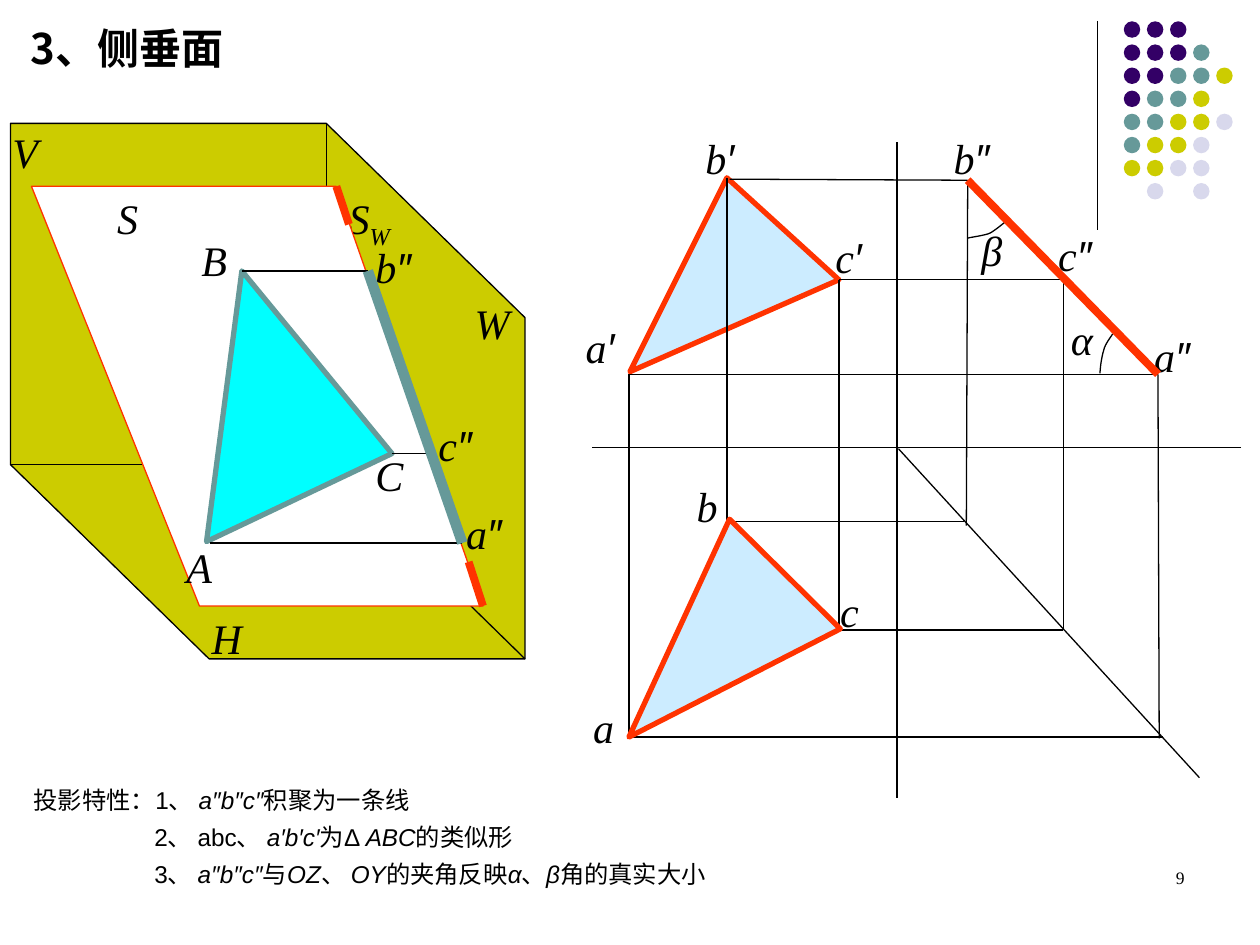
from dataclasses import dataclass
from lxml import etree
from pptx import Presentation
from pptx.dml.color import RGBColor
from pptx.enum.shapes import MSO_CONNECTOR, MSO_SHAPE
from pptx.enum.text import MSO_ANCHOR, MSO_AUTO_SIZE, PP_ALIGN
from pptx.oxml.ns import qn
from pptx.shapes.shapetree import SlideShapes
from pptx.util import Pt

BLACK = RGBColor(0x00, 0x00, 0x00)
WHITE = RGBColor(0xFF, 0xFF, 0xFF)
RED = RGBColor(0xFF, 0x33, 0x00)
TEAL = RGBColor(0x66, 0x99, 0x99)
CYAN = RGBColor(0x00, 0xFF, 0xFF)
PALE_BLUE = RGBColor(0xCC, 0xEC, 0xFF)
OLIVE = RGBColor(0xCC, 0xCC, 0x00)
PURPLE = RGBColor(0x33, 0x00, 0x66)
LAVENDER = RGBColor(0xD8, 0xD8, 0xEC)

DOT_COLORS = {"P": PURPLE, "T": TEAL, "Y": OLIVE, "L": LAVENDER}
DOT_ROWS = ["PPP", "PPPT", "PPTTY", "PTTY", "TTYYL", "TYYL", "YYLL", ".L.L"]


@dataclass
class Region:
    """Area of the slide whose parts are placed in points from its top left."""
    shapes: SlideShapes
    left: float
    top: float

    def at(self, point):
        """Return the slide position of a point of the region."""
        return Pt(self.left + point[0]), Pt(self.top + point[1])

    def line(self, start, end, color=BLACK, width=0.75):
        """Draw a straight line."""
        connector = self.shapes.add_connector(
            MSO_CONNECTOR.STRAIGHT, *self.at(start), *self.at(end))
        connector.line.color.rgb = color
        connector.line.width = Pt(width)
        properties = connector._element.find(qn("p:spPr"))
        etree.SubElement(properties, qn("a:effectLst"))

    def outline(self, points, fill=None, color=BLACK, width=0.75):
        """Draw a filled polygon, or an open path when there is no fill."""
        first, *rest = [self.at(point) for point in points]
        builder = self.shapes.build_freeform(*first)
        builder.add_line_segments(rest, close=fill is not None)
        figure = builder.convert_to_shape()
        figure.shadow.inherit = False
        if fill is None:
            figure.fill.background()
        else:
            figure.fill.solid()
            figure.fill.fore_color.rgb = fill
        figure.line.color.rgb = color
        figure.line.width = Pt(width)

    def label(self, text, x, y, width, subscript=""):
        """Write an italic point or plane name."""
        box = self.shapes.add_textbox(*self.at((x, y)), Pt(width), Pt(36))
        box.text_frame.word_wrap = True
        name = box.text_frame.paragraphs[0]
        style_font(name.font, 24, None, italic=True)
        for part in text + subscript:
            run = name.add_run()
            run.text = part
            run.font.name = "Arial" if part in "′″" else "Times New Roman"
        if subscript:
            run.font._element.set("baseline", "-25000")


def style_font(font, size, name, bold=None, italic=None):
    """Give a font its size, name and black colour."""
    font.size, font.bold, font.italic = Pt(size), bold, italic
    if name:
        font.name = name
    font.color.rgb = BLACK


def bezier(*controls, steps=8):
    """Return points along a cubic curve."""
    weights = (1, 3, 3, 1)
    return [tuple(sum(w * (1 - t) ** (3 - k) * t ** k * controls[k][axis]
                      for k, w in enumerate(weights)) for axis in (0, 1))
            for t in (step / steps for step in range(steps + 1))]


def place(placeholder, left, top, width, height):
    """Move a placeholder and fix its text at the top."""
    placeholder.left, placeholder.top = Pt(left), Pt(top)
    placeholder.width, placeholder.height = Pt(width), Pt(height)
    placeholder.text_frame.auto_size = MSO_AUTO_SIZE.NONE
    placeholder.text_frame.vertical_anchor = MSO_ANCHOR.TOP


def add_heading(slide, left, top, width, height):
    """Fill the title."""
    place(slide.shapes.title, left, top, width, height)
    heading = slide.shapes.title.text_frame.paragraphs[0]
    heading.text = "3、侧垂面"
    heading.alignment = PP_ALIGN.LEFT
    style_font(heading.font, 24, "Noto Sans CJK SC", bold=True)


def add_properties(slide, left, top, width, height):
    """List the projection properties, with odd parts in italics."""
    body = slide.placeholders[1]
    place(body, left, top, width, height)
    items = [
        ["投影特性：1、 ", "a″b″c″", "积聚为一条线"],
        ["2、 abc、 ", "a′b′c′", "为Δ ", "ABC", "的类似形"],
        ["3、 ", "a″b″c″", "与", "OZ", "、 ", "OY", "的夹角反映", "α", "、", "β",
         "角的真实大小"],
    ]
    for index, parts in enumerate(items):
        frame = body.text_frame
        item = frame.add_paragraph() if index else frame.paragraphs[0]
        item.line_spacing = 1.0
        item.space_before = Pt(4.5 if index else 0)
        indents = item._element.get_or_add_pPr()
        indents.set("marL", str(Pt(69)))
        indents.set("indent", str(Pt(0 if index else -69)))
        etree.SubElement(indents, qn("a:buNone"))
        style_font(item.font, 13.9, "Arial")
        for order, part in enumerate(parts):
            run = item.add_run()
            run.text = part
            run.font.italic = order % 2 == 1


def add_corner_dots(slide, left, top):
    """Draw the rule and the dot pattern of the corner."""
    corner = Region(slide.shapes, left, top)
    corner.line((0, 0), (0, 119.5))
    for row, colors in enumerate(DOT_ROWS):
        for column, key in enumerate(colors):
            if key in DOT_COLORS:
                spot = corner.at((15.2 + 13.2 * column, 0.2 + 13.2 * row))
                dot = slide.shapes.add_shape(MSO_SHAPE.OVAL, *spot, Pt(9.4), Pt(9.4))
                dot.shadow.inherit = False
                dot.fill.solid()
                dot.fill.fore_color.rgb = DOT_COLORS[key]
                dot.line.fill.background()


def add_spatial_view(slide, left, top):
    """Draw the plane S and its triangle between the planes V, H and W."""
    view = Region(slide.shapes, left, top)
    fold, v_left, w_bottom, v_top = (180.5, 195), (0, 195), (294, 306), (180.5, 0)
    view.outline([(0, 0), v_left, (113.5, 306), w_bottom, (294, 111), v_top], OLIVE)
    for end in (v_left, w_bottom, v_top):
        view.line(end, fold)
    view.label("V", -6, -1.5, 55.4)
    view.label("W", 258.2, 95.8, 33)
    view.label("H", 107.8, 275.8, 42)
    view.label("S", 186.2, 36, 94, subscript="W")

    s_top, s_bottom = (186.2, 36), (270, 275.8)
    view.outline([s_top, s_bottom, (108, 275.8), (12, 36)], WHITE, RED)
    view.line(s_top, (193.4, 57.7), RED, 4.5)
    view.line((261.8, 250.6), s_bottom, RED, 4.5)
    for text, x, y, width in [
            ("S", 53.8, 36, 48), ("C", 201.4, 182.9, 54), ("a″", 253.2, 216, 48),
            ("b″", 201.4, 64, 48), ("A", 93.4, 235.5, 48), ("B", 102, 59.8, 54),
            ("c″", 237.4, 165.7, 54)]:
        view.label(text, x, y, width)

    a, b, c = (112, 239), (132.2, 84.3), (218, 188.7)
    b_side, a_side = (204.2, 84.3), (258.2, 239.8)
    view.outline([a, c, b], CYAN, TEAL, 3)
    view.line(b, b_side)
    view.line(c, (237.4, 188.7))
    view.line((114.2, 239.8), a_side)
    view.line(b_side, a_side, TEAL, 6)


def add_projections(slide, left, top):
    """Draw the three projections of the triangle with their axes."""
    view = Region(slide.shapes, left, top)
    a_front, b_front, c_front = (21.6, 131), (77, 20.2), (141, 78.5)
    a_top, b_top, c_top = (21, 339.8), (78.5, 215.3), (141.8, 278)
    a_side, b_side, c_side = (323.3, 132.5), (214.6, 21.6), (269.3, 78.5)
    c_turn, a_level = (269.3, 278.6), (21, 132.5)
    view.outline([b_front, a_front, c_front], PALE_BLUE, RED, 3)
    for start, end in [
            ((174.2, 374.4), (174.2, 0)), ((370.8, 174.2), (0, 174.2)),
            ((175, 175), (347, 363)), ((324, 340.6), a_side),
            (b_side, (213.8, 219)), ((326.2, 339.8), a_top),
            (b_side, (78.5, 21)), (c_front, c_side), (c_side, c_turn),
            (c_front, (141, 278.6)), (c_turn, (141, 278.6)), (a_side, a_level),
            (a_level, a_top), ((212.4, 216.7), (77, 216.7)), ((77, 216.7), b_front)]:
        view.line(start, end)
    view.outline(bezier((237, 44.6), (235.4, 46), (231, 49.7), (227.5, 51.8))
                 + bezier((227.5, 51.8), (224, 53.3), (217.4, 54), (214.6, 54.7)))
    view.outline(bezier((297.4, 109.4), (296.6, 111), (293, 115.2), (292.3, 118.8))
                 + bezier((292.3, 118.8), (291, 123), (290.2, 129.6), (290.2, 132)))
    for text, x, y, width in [
            ("a′", -10.8, 98.6, 80.6), ("b′", 57.6, -9.4, 50.4),
            ("b″", 199.4, -9.4, 93), ("b", 52.6, 189.4, 39), ("a", -6.5, 316, 80.6),
            ("a″", 314, 103.7, 67.7), ("α", 266.4, 94.3, 26.6),
            ("β", 215.3, 43.2, 26), ("c", 134.6, 249.8, 42.5),
            ("c′", 131.8, 47.5, 42.5), ("c″", 259.2, 46, 64)]:
        view.label(text, x, y, width)
    view.outline([b_top, a_top, c_top], PALE_BLUE, RED, 3)
    view.line(a_side, b_side, RED, 4.5)


def add_page_number(slide, left, top, width, height):
    """Write the page number at the right of its box."""
    box = slide.shapes.add_textbox(Pt(left), Pt(top), Pt(width), Pt(height))
    box.text_frame.word_wrap = True
    number = box.text_frame.paragraphs[0]
    number.text = "9"
    number.alignment = PP_ALIGN.RIGHT
    style_font(number.font, 10, "Times New Roman")


def main():
    """Build the slide and save it."""
    deck = Presentation()
    deck.slide_width, deck.slide_height = Pt(720), Pt(540)
    slide = deck.slides.add_slide(deck.slide_layouts[1])
    add_corner_dots(slide, 627, 12)
    add_spatial_view(slide, 6, 70.5)
    add_properties(slide, 12, 445, 560, 83.5)
    add_projections(slide, 338.4, 81.4)
    add_heading(slide, 10.4, 9.4, 150, 36)
    add_page_number(slide, 516.2, 491.8, 167.8, 36)
    deck.save("out.pptx")


if __name__ == "__main__":
    main()
